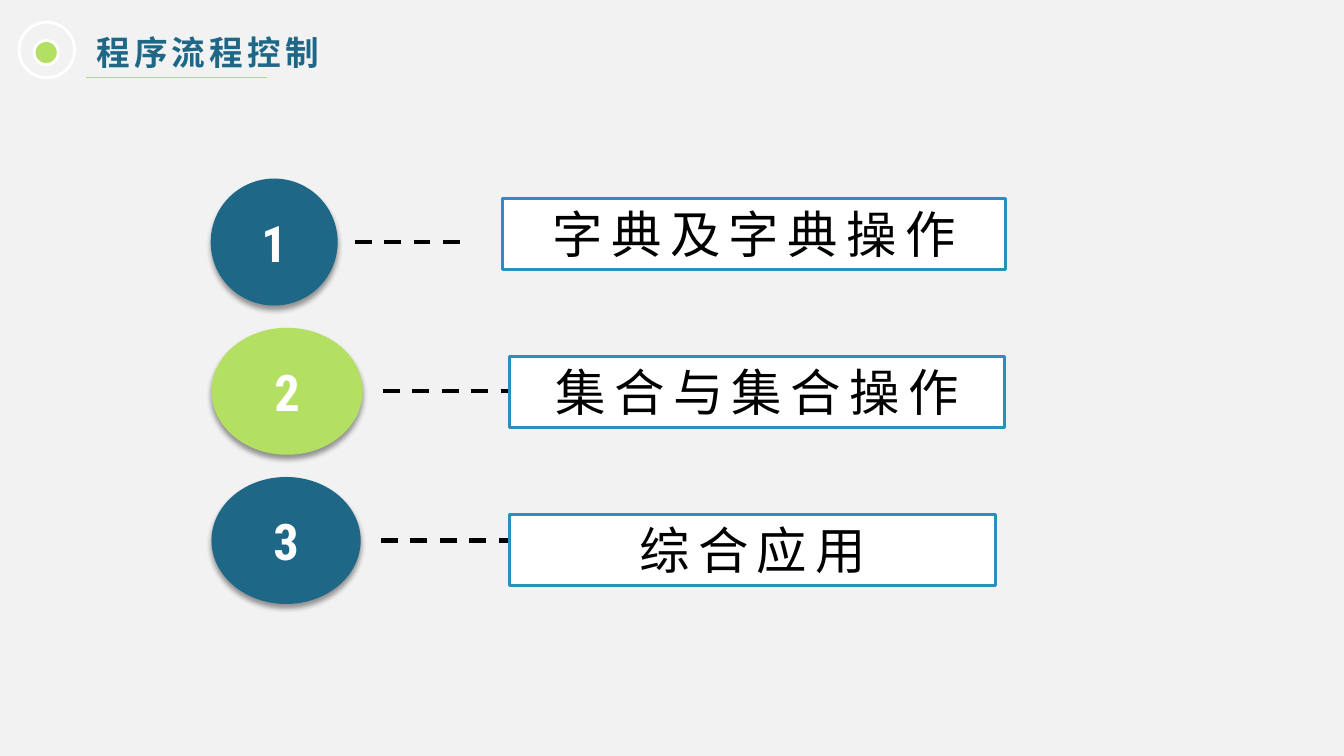
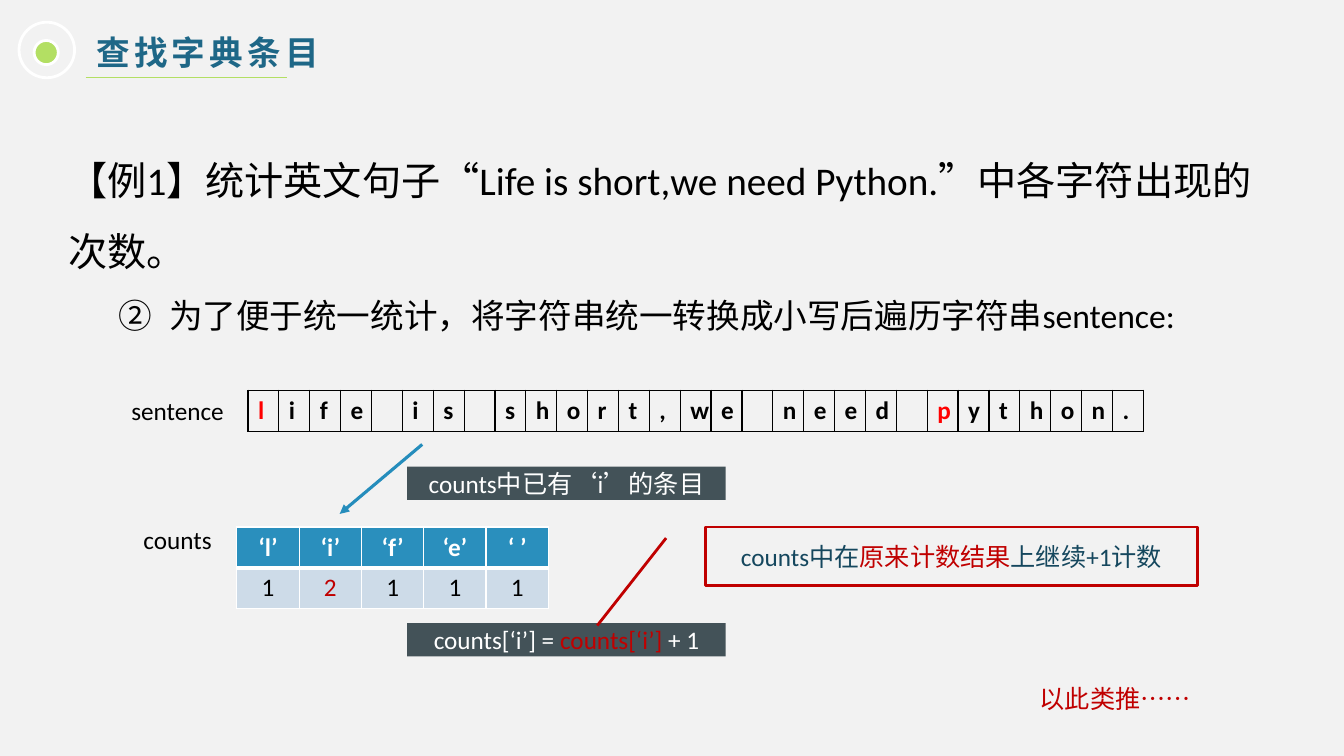
from lxml import etree
from pptx import Presentation
from pptx.dml.color import RGBColor
from pptx.enum.dml import MSO_LINE
from pptx.enum.shapes import MSO_CONNECTOR, MSO_SHAPE
from pptx.enum.text import MSO_ANCHOR, PP_ALIGN
from pptx.oxml.ns import qn
from pptx.util import Cm, Pt

OVAL, RECT, CALLOUT = MSO_SHAPE.OVAL, MSO_SHAPE.RECTANGLE, MSO_SHAPE.LINE_CALLOUT_1
STRAIGHT, DASH = MSO_CONNECTOR.STRAIGHT, MSO_LINE.DASH
TOP, MIDDLE = MSO_ANCHOR.TOP, MSO_ANCHOR.MIDDLE
LEFT, CENTER = PP_ALIGN.LEFT, PP_ALIGN.CENTER

PAPER = RGBColor(0xF2, 0xF2, 0xF2)
WHITE = RGBColor(0xFF, 0xFF, 0xFF)
BLACK = RGBColor(0, 0, 0)
TEAL = RGBColor(0x1E, 0x67, 0x87)
LIME = RGBColor(0xB3, 0xDF, 0x63)
BLUE = RGBColor(0x2A, 0x8F, 0xBD)
ARROW_BLUE = RGBColor(0x25, 0x8D, 0xBC)
NAVY = RGBColor(0x15, 0x47, 0x5E)
SLATE = RGBColor(0x43, 0x52, 0x58)
PALE = RGBColor(0xCD, 0xDB, 0xE8)
RED = RGBColor(0xFF, 0, 0)
DARK_RED = RGBColor(0xC0, 0, 0)

LATIN, HAN, DIGIT = "Calibri", "Noto Sans CJK SC", "Roboto Condensed"


def sub(parent, tag, **attributes):
    """Append one DrawingML child."""
    return etree.SubElement(parent, qn(tag), {k: str(v) for k, v in attributes.items()})


def write(paragraph, *runs, size=18, color=BLACK, bold=False, font=LATIN,
          spacing=0, align=CENTER):
    """Each run is a string, or a (string, colour) pair."""
    paragraph.alignment = align
    for item in runs:
        text, run_color = (item, color) if isinstance(item, str) else item
        run = paragraph.add_run()
        run.text = text
        run.font.size, run.font.bold, run.font.name = Pt(size), bold, font
        run.font.color.rgb = run_color
        properties = run.font._element
        if spacing:
            properties.set("spc", str(spacing * 100))
        sub(properties, "a:ea", typeface=HAN)


class Deck:
    def __init__(self):
        self.file = Presentation()
        self.file.slide_width, self.file.slide_height = Cm(33.87), Cm(19.05)
        self.slide = None

    def new_slide(self, title, underline_end):
        self.slide = self.file.slides.add_slide(self.file.slide_layouts[6])
        fill = self.slide.background.fill
        fill.solid()
        fill.fore_color.rgb = PAPER
        self.text(2.18, 0.69, 17, 1.27, title, anchor=TOP, size=24, color=TEAL,
                  bold=True, font=HAN, spacing=3, align=LEFT)
        self.shape(OVAL, 0.86, 1.02, 0.61, 0.61, fill=LIME, line=WHITE)
        self.shape(OVAL, 0.48, 0.56, 1.4, 1.4, line=WHITE)
        self.line(2.16, 1.96, underline_end, 1.96, LIME, 0.75)

    def frame(self, left, top, width, height, anchor):
        box = self.slide.shapes.add_textbox(Cm(left), Cm(top), Cm(width), Cm(height))
        box.text_frame.word_wrap = True
        box.text_frame.vertical_anchor = anchor
        return box.text_frame

    def text(self, left, top, width, height, *runs, anchor=MIDDLE, **style):
        write(self.frame(left, top, width, height, anchor).paragraphs[0], *runs, **style)

    def shape(self, kind, left, top, width, height, *runs, fill=None, line=None,
              anchor=MIDDLE, **style):
        shape = self.slide.shapes.add_shape(kind, Cm(left), Cm(top), Cm(width), Cm(height))
        shape.shadow.inherit = False
        if fill is None:
            shape.fill.background()
        else:
            shape.fill.solid()
            shape.fill.fore_color.rgb = fill
        if line is None:
            shape.line.fill.background()
        else:
            shape.line.color.rgb, shape.line.width = line, Pt(2)
        if runs:
            shape.text_frame.word_wrap = True
            shape.text_frame.vertical_anchor = anchor
            write(shape.text_frame.paragraphs[0], *runs, **style)
        return shape

    def disc(self, left, top, width, height, number, fill):
        disc = self.shape(OVAL, left, top, width, height, number, fill=fill,
                          size=36, color=WHITE, bold=True, font=DIGIT)
        effects = disc._element.spPr.find(qn("a:effectLst"))
        shadow = sub(effects, "a:outerShdw", blurRad=Pt(4), dist=Pt(3), dir=5400000,
                     rotWithShape=0)
        sub(sub(shadow, "a:srgbClr", val=BLACK), "a:alpha", val=40000)

    def line(self, x1, y1, x2, y2, color, width, dash=None, arrow=False):
        line = self.slide.shapes.add_connector(STRAIGHT, Cm(x1), Cm(y1), Cm(x2), Cm(y2))
        line.line.color.rgb, line.line.width = color, Pt(width)
        if dash:
            line.line.dash_style = dash
        if arrow:
            sub(line.line._get_or_add_ln(), "a:tailEnd", type="triangle")
        sub(line._element.spPr, "a:effectLst")

    def table(self, left, top, rows, columns, column_width, row_height):
        table = self.slide.shapes.add_table(
            rows, columns, Cm(left), Cm(top),
            Cm(column_width * columns), Cm(row_height * rows)).table
        table.first_row = table.horz_banding = False
        return table

    def cell(self, cell, text, border, bottom=1, fill=None, anchor=TOP, **style):
        cell.vertical_anchor = anchor
        properties = cell._tc.get_or_add_tcPr()
        for side, width in (("L", 1), ("R", 1), ("T", 1), ("B", bottom)):
            edge = sub(properties, f"a:ln{side}", w=Pt(width))
            sub(sub(edge, "a:solidFill"), "a:srgbClr", val=border)
        if fill is None:
            cell.fill.background()
        else:
            cell.fill.solid()
            cell.fill.fore_color.rgb = fill
        if text.strip():
            write(cell.text_frame.paragraphs[0], text, **style)


def outline_slide(deck):
    deck.new_slide("程序流程控制", 6.73)
    # Topic, disc (left, width), dash (start, end), label (left, width)
    topics = [
        ("字典及字典操作", TEAL, (5.31, 3.2), (8.94, 11.73), (12.67, 12.67)),
        ("集合与集合操作", LIME, (5.33, 3.81), (9.65, 12.98), (12.85, 12.47)),
        ("综合应用", TEAL, (5.33, 3.76), (9.6, 12.88), (12.85, 12.24)),
    ]
    disc_height = 3.2
    for i, (topic, color, disc, dash, label) in enumerate(topics):
        top = 4.5 + 3.76 * i
        middle = top + disc_height / 2
        deck.disc(disc[0], top, disc[1], disc_height, str(i + 1), color)
        deck.line(dash[0], middle, dash[1], middle, BLACK, 3, dash=DASH)
        deck.shape(RECT, label[0], 5 + 3.98 * i, label[1], 1.8, topic, fill=WHITE,
                   line=BLUE, anchor=TOP, size=36, spacing=6)


def counting_slide(deck):
    deck.new_slide("查找字典条目", 7.24)
    sentence = "Life is short,we need Python."

    # Task and numbered step
    body = deck.frame(1.47, 3.23, 30.56, 5.23, TOP)
    task, step = body.paragraphs[0], body.add_paragraph()
    task.line_spacing = step.line_spacing = 1.5
    write(task, f"【例1】统计英文句子“{sentence}”中各字符出现的次数。", size=28, align=LEFT)
    write(step, "为了便于统一统计，将字符串统一转换成小写后遍历字符串sentence:",
          size=24, align=LEFT)
    step_format = step._p.get_or_add_pPr()
    step_format.set("marL", str(Cm(2.54)))
    step_format.set("indent", str(Cm(-1.27)))
    sub(step_format, "a:buAutoNum", type="circleNumDbPlain", startAt=2)

    # Sentence, one character a cell; lowered capitals in red
    letters = deck.table(6.25, 9.83, 1, len(sentence), 22.58 / len(sentence), 1.04)
    for i, letter in enumerate(sentence):
        deck.cell(letters.cell(0, i), letter.lower(), BLACK, bold=True, align=LEFT,
                  color=RED if letter.isupper() else BLACK)
    for name, top in (("sentence", 9.7), ("counts", 12.95)):
        deck.text(2.9, top, 3.15, 1.27, name)
    deck.line(10.64, 11.2, 8.56, 12.95, ARROW_BLUE, 2.25, arrow=True)

    # Dictionary of counts
    entries = [("‘l’", 1), ("‘i’", 2), ("‘f’", 1), ("‘e’", 1), ("‘ ’", 1)]
    counts = deck.table(5.97, 13.28, 2, len(entries), 1.57, 1.03)
    for i, (key, count) in enumerate(entries):
        deck.cell(counts.cell(0, i), key, WHITE, bottom=3, fill=BLUE, anchor=MIDDLE,
                  color=WHITE, bold=True)
        deck.cell(counts.cell(1, i), str(count), WHITE, fill=PALE, anchor=MIDDLE,
                  color=DARK_RED if count > 1 else BLACK)

    # Explanations
    notes = [
        (11.76, ["counts中已有‘i’的条目"]),
        (15.7, ["counts[‘i’] = ", ("counts[‘i’]", DARK_RED), " + 1"]),
    ]
    for top, runs in notes:
        deck.shape(RECT, 10.26, top, 8.03, 0.84, *runs, fill=SLATE, color=WHITE)
    callout = deck.shape(CALLOUT, 17.78, 13.28, 12.4, 1.47, "counts中在",
                         ("原来计数结果", DARK_RED), "上继续+1计数",
                         line=DARK_RED, color=NAVY)
    for i, value in enumerate((0.19, -0.08, 1.69, -0.22)):
        callout.adjustments[i] = value
    deck.text(24.18, 16.71, 7.85, 1.78, "以此类推……", color=DARK_RED)


def main():
    deck = Deck()
    outline_slide(deck)
    counting_slide(deck)
    deck.file.save("out.pptx")


if __name__ == "__main__":
    main()
